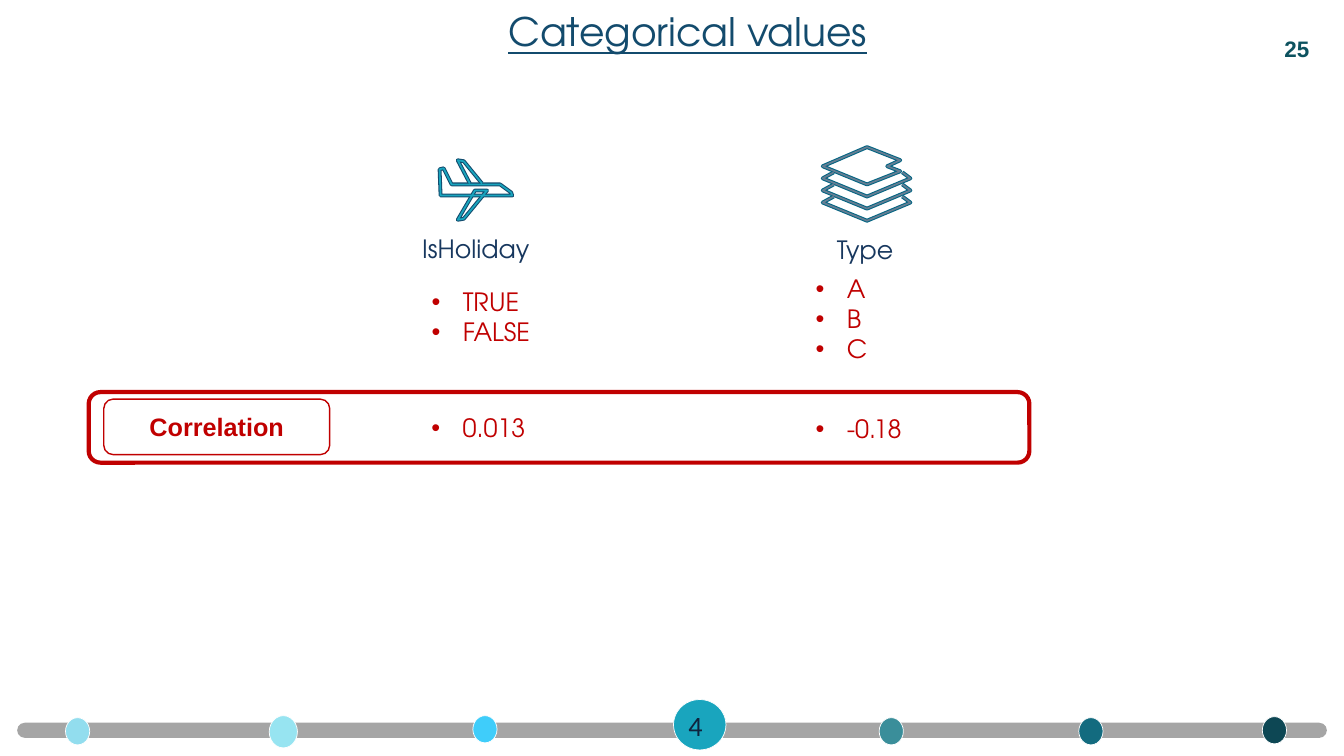
from lxml.etree import SubElement
from pptx import Presentation
from pptx.dml.color import RGBColor
from pptx.enum.shapes import MSO_SHAPE
from pptx.enum.text import MSO_ANCHOR, MSO_AUTO_SIZE, PP_ALIGN
from pptx.oxml.ns import qn
from pptx.util import Inches, Pt

WHITE = RGBColor(0xFF, 0xFF, 0xFF)
NAVY = RGBColor(0x13, 0x4B, 0x6D)
HEADING_BLUE = RGBColor(0x17, 0x37, 0x5E)
STEP_NAVY = RGBColor(0x0F, 0x24, 0x3E)
PAGE_TEAL = RGBColor(0x0D, 0x52, 0x5F)
RED = RGBColor(0xC0, 0x00, 0x00)
GREY = RGBColor(0x80, 0x80, 0x80)
TEAL = RGBColor(0x19, 0xA5, 0xBE)
LAYER_FILL = RGBColor(0x65, 0x7E, 0x93)
LAYER_LINE = RGBColor(0x04, 0x65, 0x83)

DISPLAY_FONT = "TeX Gyre Adventor"

SMALL_DOT, MEDIUM_DOT, CURRENT_DOT = (0.24, 0.27), (0.28, 0.32), (0.52, 0.5)
TIMELINE_DOTS = [
    (0.48, -0.05, SMALL_DOT, RGBColor(0x92, 0xDD, 0xEE)),
    (2.5, -0.07, MEDIUM_DOT, RGBColor(0x97, 0xE4, 0xF1)),
    (4.52, -0.07, SMALL_DOT, RGBColor(0x3F, 0xCD, 0xFA)),
    (6.51, -0.23, CURRENT_DOT, TEAL),
    (8.55, -0.05, SMALL_DOT, RGBColor(0x3A, 0x8E, 0x9A)),
    (10.53, -0.05, SMALL_DOT, RGBColor(0x13, 0x6B, 0x7F)),
    (12.35, -0.06, SMALL_DOT, RGBColor(0x0D, 0x47, 0x54)),
]


def place(shape, left, top, width, height):
    """Move a shape to a box given in inches."""
    shape.left, shape.top = Inches(left), Inches(top)
    shape.width, shape.height = Inches(width), Inches(height)


def write(shape, lines, size, color, font=DISPLAY_FONT, align=PP_ALIGN.LEFT,
          anchor=MSO_ANCHOR.TOP, bold=False, bulleted=False):
    """Fill a shape with evenly formatted lines of text."""
    frame = shape.text_frame
    frame.word_wrap = True
    frame.auto_size = MSO_AUTO_SIZE.NONE
    frame.vertical_anchor = anchor
    frame.text = "\n".join(lines)
    for paragraph in frame.paragraphs:
        paragraph.alignment = align
        paragraph.space_before = Pt(0)
        paragraph.font.name = font
        paragraph.font.size = Pt(size)
        paragraph.font.bold = bold
        paragraph.font.color.rgb = color
        if bulleted:
            properties = paragraph._p.get_or_add_pPr()
            properties.set("marL", str(Inches(0.31)))
            properties.set("indent", str(-Inches(0.31)))
            bullet_font = properties.makeelement(qn("a:buFont"), {"typeface": "Arial"})
            bullet = properties.makeelement(qn("a:buChar"), {"char": "•"})
            properties.insert_element_before(bullet_font, "a:defRPr")
            properties.insert_element_before(bullet, "a:defRPr")


def add_text(slide, box, lines, size, color, **style):
    """Add a text box."""
    shape = slide.shapes.add_textbox(*map(Inches, box))
    write(shape, lines, size, color, **style)
    return shape


def paint(shape, fill, line, line_width):
    """Set the fill and outline of a shape and drop its shadow."""
    shape.shadow.inherit = False
    if fill is None:
        shape.fill.background()
    else:
        shape.fill.solid()
        shape.fill.fore_color.rgb = fill
    if line is None:
        shape.line.fill.background()
    else:
        shape.line.color.rgb = line
        shape.line.width = Pt(line_width)


def add_preset(slide, kind, box, fill=None, line=None, line_width=0.5):
    """Add a flat preset shape with an optional fill and outline."""
    shape = slide.shapes.add_shape(kind, *map(Inches, box))
    paint(shape, fill, line, line_width)
    return shape


def add_outlines(slide, left, top, outlines, core, edge):
    """Draw edged strokes from points in hundredths of an inch."""
    for color, width in [(edge, 2.75), (core, 1.25)]:
        for points, closed in outlines:
            builder = slide.shapes.build_freeform(*points[0], scale=Inches(0.01))
            builder.add_line_segments(points[1:], close=closed)
            paint(builder.convert_to_shape(Inches(left), Inches(top)), None, color, width)


def add_plane(slide, left, top):
    """Draw the holiday plane from its fuselage and two wings."""
    fuselage = [(1, 11), (5, 10), (13, 26), (61, 26), (72, 34), (73, 37), (2, 37)]
    far_wing = [(31, 25), (19, 2), (25, 3), (43, 25)]
    near_wing = [(36, 32), (48, 32), (25, 60), (19, 61)]
    add_outlines(slide, left, top,
                 [(fuselage, True), (far_wing, False), (near_wing, True)], TEAL, NAVY)


def add_layers(slide, left, top):
    """Draw the stack of sheets as a folded top and three equal edges."""
    sheet = [(78, 25), (65, 20), (78, 14), (45, 1), (1, 20), (45, 38)]
    outlines = [(sheet, True)]
    for drop in range(0, 36, 12):
        edge = [(12, 26), (1, 32), (45, 50), (88, 32), (80, 26)]
        outlines.append(([(x, y + drop) for x, y in edge], False))
    add_outlines(slide, left, top, outlines, LAYER_FILL, LAYER_LINE)


def add_header(slide, left, top, width, height):
    """Place the title and the page number."""
    title = slide.shapes.title
    place(title, left, top, width, height)
    write(title, ["Categorical values"], 28, NAVY, align=PP_ALIGN.CENTER,
          anchor=MSO_ANCHOR.MIDDLE)
    title.text_frame.paragraphs[0].font.underline = True
    title.text_frame.paragraphs[0].line_spacing = 0.9
    page = add_text(slide, (left + 12.25, top + 0.41, 0.26, 0.27), ["25"], 16, PAGE_TEAL,
                    font="Arial", bold=True)
    frame = page.text_frame
    frame.margin_left = frame.margin_top = frame.margin_right = frame.margin_bottom = 0
    frame.word_wrap = False


def add_timeline(slide, left, top, width, height):
    """Draw the progress bar, its dots and the current step number."""
    bar = add_preset(slide, MSO_SHAPE.ROUNDED_RECTANGLE, (left, top, width, height), GREY)
    bar.adjustments[0] = 0.5
    color = bar._element.spPr.find(qn("a:solidFill"))[0]
    SubElement(color, qn("a:alpha"), val="70000")
    for x, y, size, fill in TIMELINE_DOTS:
        add_preset(slide, MSO_SHAPE.OVAL, (left + x, top + y, *size), fill, WHITE)
    add_text(slide, (left + 6.56, top - 0.19, 0.51, 0.44), ["4"], 20, STEP_NAVY,
             font="Calibri")


def add_variable(slide, heading_box, list_box, heading_index, heading, values):
    """Place a variable name and the list of its values."""
    placeholders = {shape.placeholder_format.idx: shape for shape in slide.placeholders}
    name, listing = placeholders[heading_index], placeholders[heading_index + 1]
    place(name, *heading_box)
    write(name, [heading], 18, HEADING_BLUE, align=PP_ALIGN.CENTER)
    place(listing, *list_box)
    write(listing, values, 18, RED, bulleted=True)


def add_correlation(slide, left, top, width, height):
    """Draw the framed correlation row with its label and values."""
    add_preset(slide, MSO_SHAPE.ROUNDED_RECTANGLE, (left, top, width, height),
               line=RED, line_width=3)
    label = add_preset(slide, MSO_SHAPE.ROUNDED_RECTANGLE,
                       (left + 0.15, top + 0.07, 2.24, 0.55), line=RED, line_width=1)
    write(label, ["Correlation"], 18, RED, font="Arial", align=PP_ALIGN.CENTER,
          anchor=MSO_ANCHOR.MIDDLE, bold=True)
    for x, y, value in [(3.3, 0.15, "0.013"), (7.11, 0.16, "-0.18")]:
        add_text(slide, (left + x, top + y, 1.82, 0.4), [value], 18, RED, bulleted=True)


def main():
    """Build and save the slide."""
    presentation = Presentation()
    presentation.slide_width, presentation.slide_height = Inches(13.33), Inches(7.5)
    slide = presentation.slides.add_slide(presentation.slide_layouts[4])
    add_header(slide, 0.49, -0.06, 12.66, 0.79)
    add_timeline(slide, 0.17, 7.17, 12.99, 0.15)
    add_plane(slide, 4.35, 1.57)
    add_layers(slide, 8.15, 1.45)
    add_variable(slide, (3.81, 2.26, 1.82, 0.4), (4.18, 2.79, 1.82, 0.71), 1,
                 "IsHoliday", ["TRUE", "FALSE"])
    add_variable(slide, (7.93, 2.27, 1.3, 0.4), (7.99, 2.66, 1.82, 1.01), 3,
                 "Type", ["A", "B", "C"])
    add_correlation(slide, 0.88, 3.89, 9.33, 0.7)
    presentation.save("out.pptx")


if __name__ == "__main__":
    main()
